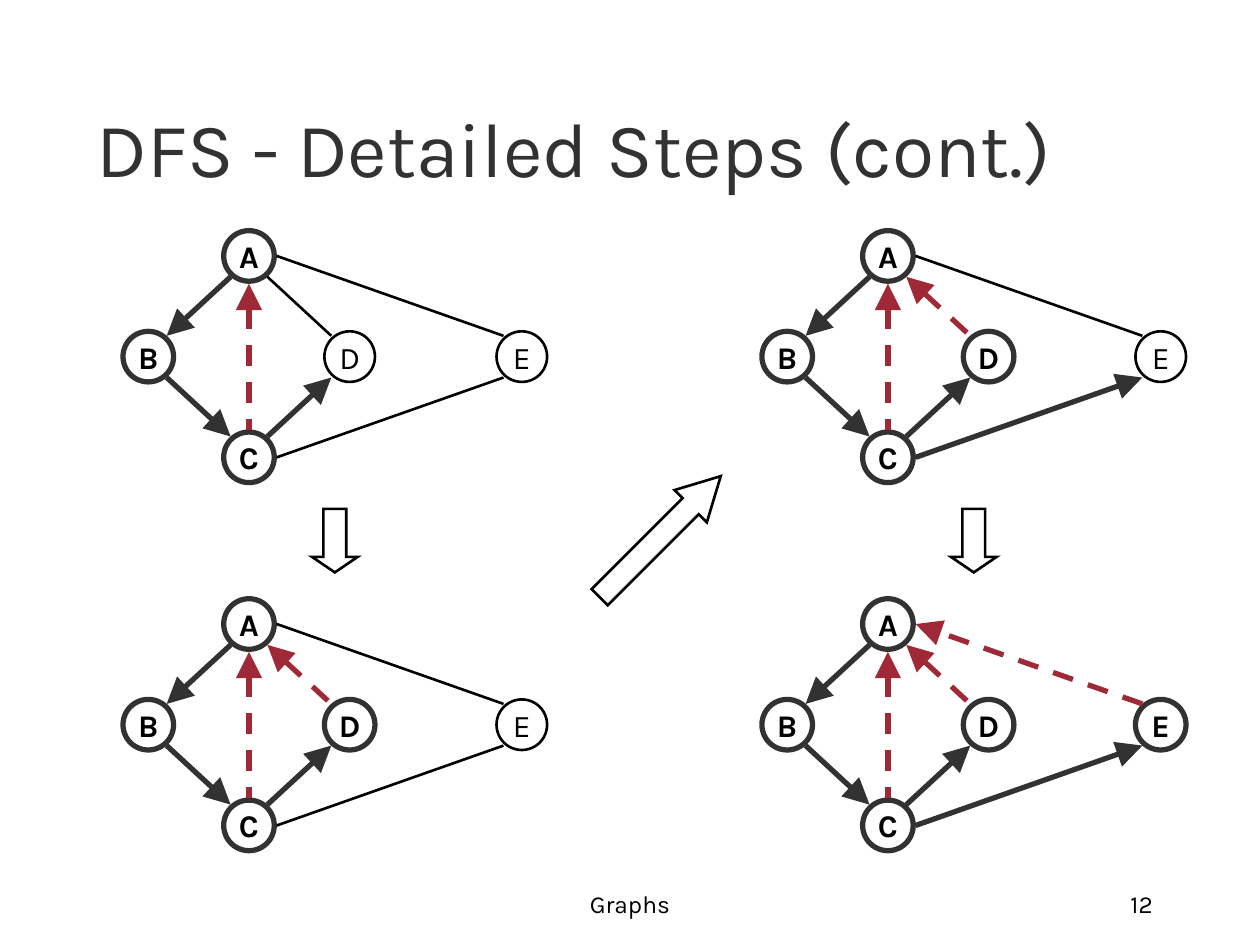
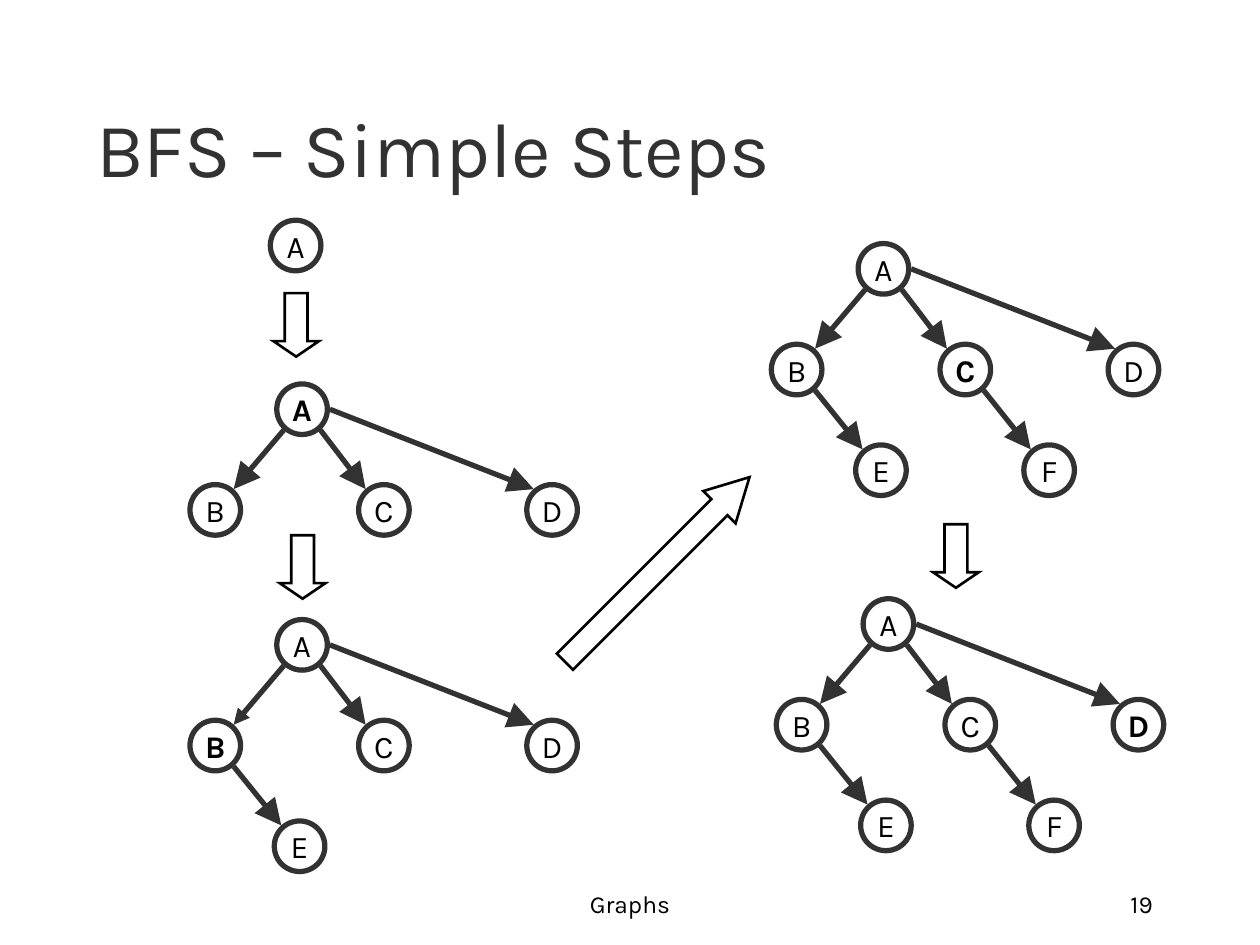
"""Build two slides that show depth-first and breadth-first graph searches step by step."""
from dataclasses import dataclass
from typing import NamedTuple

import pptx
import pptx.dml.color
import pptx.enum.dml
import pptx.enum.shapes
import pptx.enum.text
import pptx.oxml
import pptx.oxml.ns
import pptx.slide
import pptx.util

Cm, Pt = pptx.util.Cm, pptx.util.Pt
PP_ALIGN, ANCHOR = pptx.enum.text.PP_ALIGN, pptx.enum.text.MSO_ANCHOR
SHAPE = pptx.enum.shapes.MSO_SHAPE

FONT = "Karla"
DARK, RED, BLACK, WHITE = "323232", "9F2936", "000000", "FFFFFF"
THICK, THIN = 3, 1.5
NODE_SIZE = 1.02
ARROW_HEIGHT = 0.92

DX, DY, REACH = 0.37, 0.42, 0.56
SITES = {
    "n": (0, -REACH), "s": (0, REACH), "e": (REACH, 0),
    "ne": (DX, -DY), "nw": (-DX, -DY), "se": (DX, DY), "sw": (-DX, DY),
}


class EdgeStyle(NamedTuple):
    color: str
    width: float
    dashed: bool = False
    arrow_at: str = ""
    arrow_size: str = "lg"


class Layout(NamedTuple):
    nodes: dict[str, tuple[float, float]]
    routes: dict[str, tuple[str, str]]


class BlockArrow(NamedTuple):
    x: float
    y: float
    length: float = 1.28
    head: float = 0.34
    rotation: float = 90


@dataclass
class Graph:
    layout: Layout
    x: float
    y: float
    nodes: str
    bold: str
    thick: str
    edges: dict[str, str]


@dataclass
class SearchSlide:
    title: str
    number: str
    graphs: list[Graph]
    arrows: list[BlockArrow]


STYLES = {
    "unexplored": EdgeStyle(BLACK, THIN),
    "discovery": EdgeStyle(DARK, THICK, arrow_at="tailEnd"),
    "small_discovery": EdgeStyle(DARK, THICK, arrow_at="tailEnd", arrow_size="med"),
    "back": EdgeStyle(RED, THICK, True, "headEnd"),
    "back_to_root": EdgeStyle(RED, THICK, True, "tailEnd"),
}

STEP = 2.03
DFS = Layout(
    {"A": (0, 0), "B": (-STEP, STEP), "C": (0, 2 * STEP), "D": (STEP, STEP), "E": (5.5, STEP)},
    {"AB": ("sw", "ne"), "BC": ("se", "nw"), "CD": ("ne", "sw"), "AD": ("se", "nw"),
     "AC": ("s", "n"), "CE": ("e", "sw"), "AE": ("e", "nw"), "EA": ("nw", "e")},
)
BFS = Layout(
    {"A": (0, 0), "B": (-1.75, STEP), "C": (1.65, STEP), "D": (5.04, STEP),
     "E": (-0.05, 2 * STEP), "F": (3.34, 2 * STEP)},
    {"AB": ("sw", "ne"), "AC": ("se", "nw"), "AD": ("e", "nw"),
     "BE": ("se", "nw"), "CF": ("se", "nw")},
)


def dfs_step(x: float, y: float, visited: str, **edges: str) -> Graph:
    """Return a depth-first step whose visited nodes are bold and thick."""
    return Graph(DFS, x, y, "ABCDE", visited, visited, edges)


def bfs_step(x: float, y: float, nodes: str, current: str, **edges: str) -> Graph:
    """Return a breadth-first step whose current node is bold."""
    return Graph(BFS, x, y, nodes, current, nodes, edges)


LEFT, RIGHT, TOP, BOTTOM = 5.02, 17.9, 5.16, 12.58
SLIDES = [
    SearchSlide(
        "DFS - Detailed Steps (cont.)", "12",
        [
            dfs_step(LEFT, TOP, "ABC", discovery="AB BC CD", back="AC", unexplored="AD CE AE"),
            dfs_step(LEFT, BOTTOM, "ABCD", discovery="AB BC CD", back="AD AC", unexplored="CE AE"),
            dfs_step(RIGHT, TOP, "ABCD", discovery="AB BC CD CE", back="AD AC", unexplored="AE"),
            dfs_step(RIGHT, BOTTOM, "ABCDE", discovery="AB BC CD CE", back="AD AC",
                     back_to_root="EA"),
        ],
        [BlockArrow(6.75, 10.9), BlockArrow(19.63, 10.9),
         BlockArrow(13.31, 10.82, 3.45, 0.93, 315)],
    ),
    SearchSlide(
        "BFS – Simple Steps", "19",
        [
            bfs_step(5.96, 4.95, "A", ""),
            bfs_step(6.09, 8.25, "ABCD", "A", discovery="AB AC AD"),
            bfs_step(6.09, 13, "ABCDE", "B", small_discovery="AB", discovery="AC AD BE"),
            bfs_step(17.81, 5.42, "ABCDEF", "C", discovery="AB AC AD BE CF"),
            bfs_step(17.91, 12.58, "ABCDEF", "D", discovery="AB AC AD BE CF"),
        ],
        [BlockArrow(5.97, 6.55), BlockArrow(6.1, 11.43), BlockArrow(19.27, 11.21),
         BlockArrow(13.25, 11.48, 5.26, 0.93, 315)],
    ),
]


def rgb(color: str) -> pptx.dml.color.RGBColor:
    """Return the colour of a hex string."""
    return pptx.dml.color.RGBColor.from_string(color)


def write(tf, text: str, size: float, color: str, align, anchor, bold: bool = False) -> None:
    """Fill a text frame with one formatted paragraph."""
    tf.text = text
    tf.vertical_anchor = anchor
    p = tf.paragraphs[0]
    p.alignment = align
    for r in p.runs:
        r.font.name, r.font.size, r.font.bold = FONT, Pt(size), bold
        r.font.color.rgb = rgb(color)


def add_text(s: pptx.slide.Slide, box: tuple[float, float, float, float], text: str,
             size: float, color: str, align) -> None:
    """Add a bottom-anchored text box."""
    tf = s.shapes.add_textbox(*map(Cm, box)).text_frame
    tf.word_wrap = True
    write(tf, text, size, color, align, ANCHOR.BOTTOM)


def add_outline(s: pptx.slide.Slide, kind, x: float, y: float, w: float, h: float,
                color: str, width: float):
    """Add an unfilled preset shape centred on a point."""
    sp = s.shapes.add_shape(kind, Cm(x - w / 2), Cm(y - h / 2), Cm(w), Cm(h))
    sp.shadow.inherit = False
    sp.fill.background()
    sp.line.color.rgb = rgb(color)
    sp.line.width = Pt(width)
    return sp


def add_block_arrow(s: pptx.slide.Slide, arrow: BlockArrow) -> None:
    """Add a block arrow leading to the next step."""
    sp = add_outline(s, SHAPE.RIGHT_ARROW, arrow.x, arrow.y, arrow.length, ARROW_HEIGHT,
                     BLACK, THIN)
    sp.adjustments[0], sp.adjustments[1] = 0.5, arrow.head
    sp.rotation = arrow.rotation
    miter = pptx.oxml.parse_xml(f'<a:miter {pptx.oxml.ns.nsdecls("a")} lim="800000"/>')
    sp.line._get_or_add_ln().append(miter)


def add_edge(s: pptx.slide.Slide, graph: Graph, pair: str, style: EdgeStyle) -> None:
    """Add one edge between the sites that its route names."""
    ends = []
    for name, site in zip(pair, graph.layout.routes[pair]):
        (nx, ny), (dx, dy) = graph.layout.nodes[name], SITES[site]
        ends += [Cm(graph.x + nx + dx), Cm(graph.y + ny + dy)]
    cx = s.shapes.add_connector(pptx.enum.shapes.MSO_CONNECTOR.STRAIGHT, *ends)
    cx.line.color.rgb = rgb(style.color)
    cx.line.width = Pt(style.width)
    if style.dashed:
        cx.line.dash_style = pptx.enum.dml.MSO_LINE.DASH
    ns = pptx.oxml.ns.nsdecls("a")
    if style.arrow_at:
        size = style.arrow_size
        cx.line._get_or_add_ln().append(pptx.oxml.parse_xml(
            f'<a:{style.arrow_at} {ns} type="triangle" w="{size}" len="{size}"/>'))
    cx._element.spPr.append(pptx.oxml.parse_xml(f"<a:effectLst {ns}/>"))


def add_graph(s: pptx.slide.Slide, graph: Graph) -> None:
    """Add the nodes and edges of one search step."""
    for name in graph.nodes:
        x, y = graph.layout.nodes[name]
        color, width = (DARK, THICK) if name in graph.thick else (BLACK, THIN)
        sp = add_outline(s, SHAPE.OVAL, graph.x + x, graph.y + y, NODE_SIZE, NODE_SIZE,
                         color, width)
        sp.text_frame.word_wrap = False
        write(sp.text_frame, name, 18, BLACK, PP_ALIGN.CENTER, ANCHOR.MIDDLE, name in graph.bold)
    for style, pairs in graph.edges.items():
        for pair in pairs.split():
            add_edge(s, graph, pair, STYLES[style])


def add_search_slide(prs, content: SearchSlide) -> None:
    """Add a slide with its title, footer, graphs and block arrows."""
    s = prs.slides.add_slide(prs.slide_layouts[6])
    s.background.fill.solid()
    s.background.fill.fore_color.rgb = rgb(WHITE)
    add_text(s, (1.69, 0.85, 21.59, 3.17), content.title, 44, DARK, PP_ALIGN.LEFT)
    add_text(s, (8.68, 17.36, 8.04, 1.27), "Graphs", 14, BLACK, PP_ALIGN.CENTER)
    add_text(s, (18.2, 17.36, 5.29, 1.27), content.number, 14, BLACK, PP_ALIGN.RIGHT)
    for graph in content.graphs:
        add_graph(s, graph)
    for arrow in content.arrows:
        add_block_arrow(s, arrow)


def main() -> None:
    """Build and save the presentation."""
    prs = pptx.Presentation()
    prs.slide_width, prs.slide_height = Cm(25.4), Cm(19.05)
    for content in SLIDES:
        add_search_slide(prs, content)
    prs.save("out.pptx")


if __name__ == "__main__":
    main()
